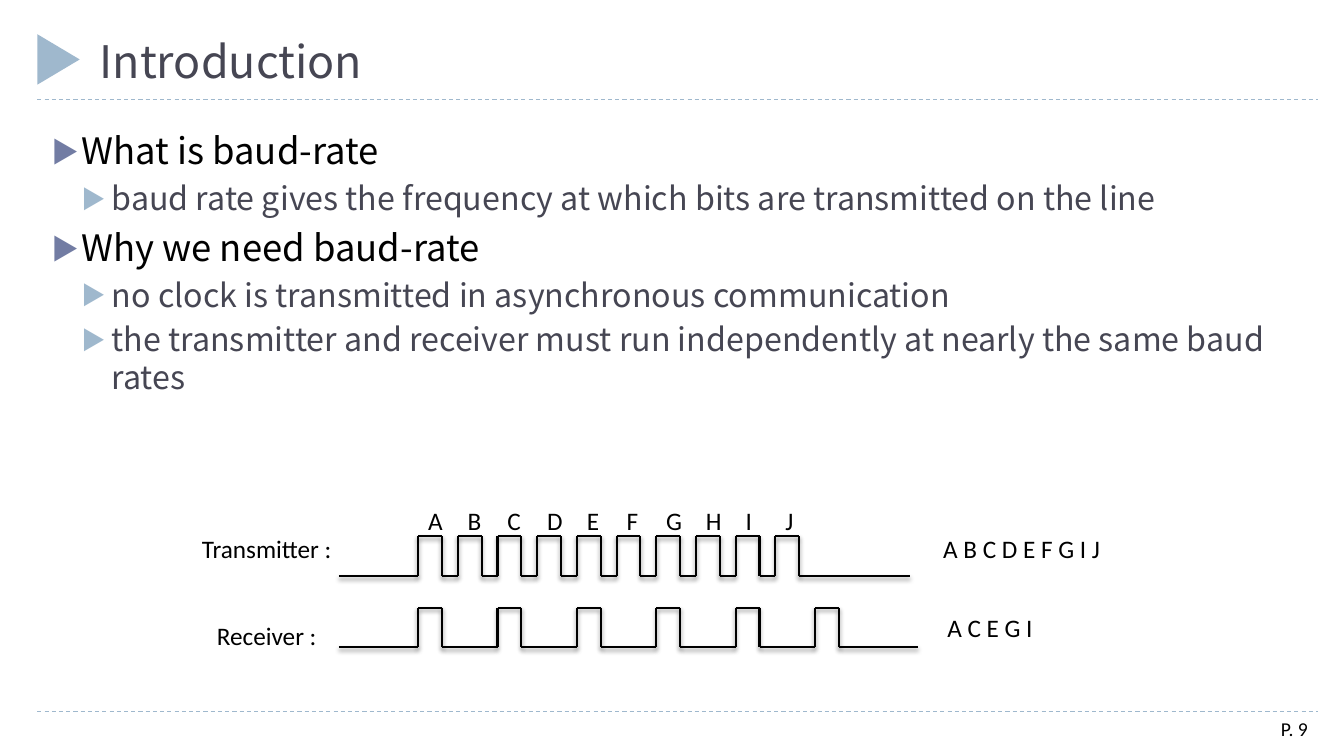
from dataclasses import dataclass
from itertools import pairwise

from lxml.etree import SubElement
from pptx import Presentation
from pptx.dml.color import RGBColor
from pptx.enum.dml import MSO_LINE
from pptx.enum.shapes import MSO_CONNECTOR, MSO_SHAPE
from pptx.enum.text import MSO_ANCHOR, PP_ALIGN
from pptx.oxml.ns import qn
from pptx.util import Inches, Mm, Pt


@dataclass(frozen=True)
class Theme:
    heading_font: str = "Noto Sans CJK SC"
    label_font: str = "Calibri"
    ink: str = "000000"
    slate: str = "464653"
    sky: str = "9FB8CD"
    indigo: str = "727CA3"
    title_size: int = 32
    label_size: int = 18
    page_size: int = 14
    # For each outline level: type size, line height, space before
    topic_sizes: tuple = (26, 31, 6)
    detail_sizes: tuple = (23, 27, 5)


THEME = Theme()

# The page is a grid of 2 mm cells; all places below are counted in cells.
CELL = Mm(2)
LEFT, RIGHT = 4.7, 166
HEADER_ROW, FOOTER_ROW = 12.57, 89.67
INDENT = 3.81

# Signal timing: every bit takes 5 cells, of which the pulse takes 3.
WAVE_LEFT, FIRST_BIT = 42.67, 52.67
BIT, PULSE, AMPLITUDE = 5, 3, 5
TRANSMITTER_TOP, RECEIVER_TOP = 67.57, 76.57
BITS = "ABCDEFGHIJ"

OUTLINE = [
    (0, "What is baud-rate"),
    (1, "baud rate gives the frequency at which bits are transmitted on the line"),
    (0, "Why we need baud-rate"),
    (1, "no clock is transmitted in asynchronous communication"),
    (1, "the transmitter and receiver must run independently at nearly the same baud rates"),
]


def cells(*counts):
    return [round(count * CELL) for count in counts]


def style_text(paragraph, font, size, color):
    for run in paragraph.runs:
        run.font.name = font
        run.font.size = Pt(size)
        run.font.color.rgb = RGBColor.from_string(color)


def add_text(shapes, place, text, size, font=THEME.label_font, color=THEME.ink,
             align=PP_ALIGN.CENTER, anchor=MSO_ANCHOR.MIDDLE):
    frame = shapes.add_textbox(*cells(*place)).text_frame
    frame.word_wrap = True
    frame.vertical_anchor = anchor
    frame.text = text
    frame.paragraphs[0].alignment = align
    style_text(frame.paragraphs[0], font, size, color)


def add_line(shapes, start, end, color, width):
    """Draw a straight line and return it with its empty effect list."""
    line = shapes.add_connector(MSO_CONNECTOR.STRAIGHT, *cells(*start, *end))
    line.line.color.rgb = RGBColor.from_string(color)
    line.line.width = Pt(width)
    effects = SubElement(line._element.spPr, qn("a:effectLst"))
    return line, effects


def add_rule(shapes, row):
    rule, _ = add_line(shapes, (LEFT, row), (RIGHT, row), THEME.sky, 0.75)
    rule.line.dash_style = MSO_LINE.DASH


def add_signal_edge(shapes, start, end):
    _, effects = add_line(shapes, start, end, THEME.ink, 1.5)
    shadow = SubElement(effects, qn("a:outerShdw"), blurRad=str(Pt(3)),
                        dist=str(Pt(2)), dir="5400000", rotWithShape="0")
    shade = SubElement(shadow, qn("a:srgbClr"), val=THEME.ink)
    SubElement(shade, qn("a:alpha"), val="40000")


def bit_column(index):
    return FIRST_BIT + index * BIT


def add_signal(shapes, top, pulse_bits, tail):
    """Draw a square wave with a pulse at each given bit, then a low tail."""
    base = top + AMPLITUDE
    corners = [(WAVE_LEFT, base)]
    for bit in pulse_bits:
        rise = bit_column(bit)
        fall = rise + PULSE
        corners += [(rise, base), (rise, top), (fall, top), (fall, base)]
    corners.append((corners[-1][0] + tail, base))
    for start, end in pairwise(corners):
        add_signal_edge(shapes, start, end)


def add_marker(shapes):
    marker = shapes.add_shape(MSO_SHAPE.ISOSCELES_TRIANGLE, *cells(4.2, 4.83, 6.35, 5.33))
    marker.rotation = 90
    marker.shadow.inherit = False
    marker.fill.solid()
    marker.fill.fore_color.rgb = RGBColor.from_string(THEME.sky)
    marker.line.fill.background()


def add_bullet(paragraph, level, color):
    margin, hanging = cells(INDENT * (level + 1), -INDENT)
    properties = paragraph._p.get_or_add_pPr()
    properties.set("marL", str(margin))
    properties.set("indent", str(hanging))
    SubElement(SubElement(properties, qn("a:buClr")), qn("a:srgbClr"), val=color)
    SubElement(properties, qn("a:buSzPct"), val="76000")
    SubElement(properties, qn("a:buFont"), typeface=THEME.heading_font)
    SubElement(properties, qn("a:buChar"), char="▶")


def add_outline(shapes, place, entries):
    frame = shapes.add_textbox(*cells(*place)).text_frame
    frame.word_wrap = True
    frame.text = "\n".join(text for _, text in entries)
    levels = [(THEME.topic_sizes, THEME.ink, THEME.indigo),
              (THEME.detail_sizes, THEME.slate, THEME.sky)]
    for paragraph, (level, _) in zip(frame.paragraphs, entries):
        (size, line_height, space), color, bullet_color = levels[level]
        paragraph.level = level
        paragraph.line_spacing = Pt(line_height)
        paragraph.space_before = Pt(space)
        add_bullet(paragraph, level, bullet_color)
        style_text(paragraph, THEME.heading_font, size, color)


def add_transmission(shapes):
    transmitter = shapes.add_group_shape().shapes
    add_signal(transmitter, TRANSMITTER_TOP, range(len(BITS)), tail=14)
    for index, letter in enumerate(BITS):
        add_text(transmitter, (bit_column(index), TRANSMITTER_TOP - 4, PULSE, 4),
                 letter, THEME.label_size)
    receiver = shapes.add_group_shape().shapes
    add_signal(receiver, RECEIVER_TOP, range(0, len(BITS) + 1, 2), tail=10)

    labels = [
        ("Transmitter :", (23.6, TRANSMITTER_TOP, 20, 3)),
        ("A B C D E F G I J", (116.7, TRANSMITTER_TOP, 24, 3)),
        ("Receiver :", (25.6, RECEIVER_TOP + 1, 16, 5)),
        ("A C E G I", (117.7, RECEIVER_TOP + 1, 14, 3)),
    ]
    for text, place in labels:
        add_text(shapes, place, text, THEME.label_size)


def main():
    deck = Presentation()
    deck.slide_width, deck.slide_height = Inches(13.33), Inches(7.5)
    shapes = deck.slides.add_slide(deck.slide_layouts[6]).shapes

    add_rule(shapes, FOOTER_ROW)
    add_rule(shapes, HEADER_ROW)
    add_marker(shapes)
    add_text(shapes, (155.3, FOOTER_ROW, 10.7, 4.3), "P. 9", THEME.page_size,
             align=PP_ALIGN.RIGHT, anchor=MSO_ANCHOR.TOP)
    add_text(shapes, (11.3, 2.16, 154.7, 9.5), "Introduction", THEME.title_size,
             THEME.heading_font, THEME.slate, PP_ALIGN.LEFT, MSO_ANCHOR.BOTTOM)
    add_outline(shapes, (5.2, 15.6, 160.8, 67.4), OUTLINE)
    add_transmission(shapes)
    deck.save("out.pptx")


if __name__ == "__main__":
    main()
